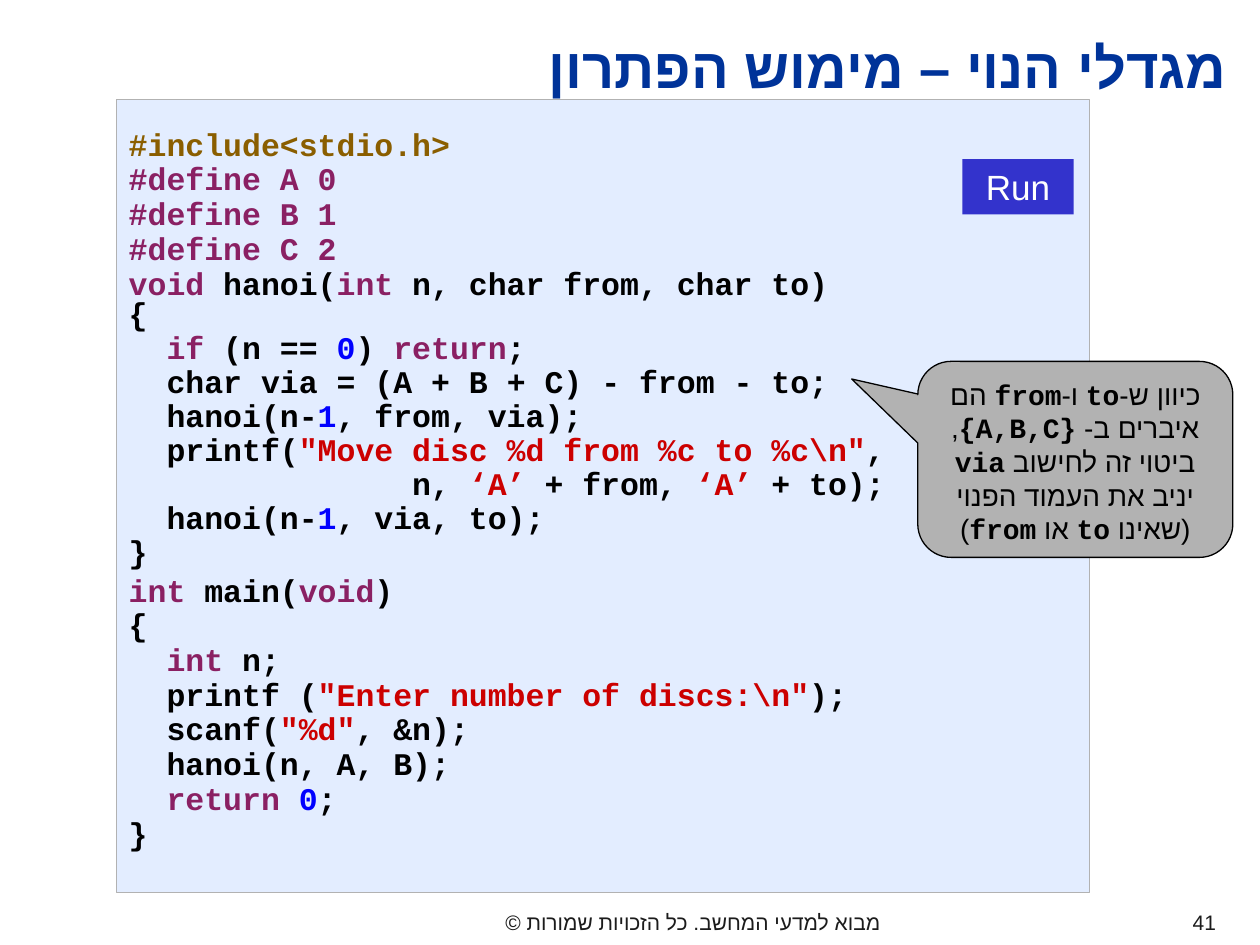
from lxml import etree
from pptx import Presentation
from pptx.dml.color import RGBColor
from pptx.enum.shapes import MSO_SHAPE
from pptx.enum.text import MSO_ANCHOR, PP_ALIGN
from pptx.oxml.ns import qn
from pptx.util import Pt

LEFT, MID, RIGHT = PP_ALIGN.LEFT, PP_ALIGN.CENTER, PP_ALIGN.RIGHT
TOP, CENTRE = MSO_ANCHOR.TOP, MSO_ANCHOR.MIDDLE
RECT, CALLOUT = MSO_SHAPE.RECTANGLE, MSO_SHAPE.ROUNDED_RECTANGULAR_CALLOUT
SANS, MONO = "Arial", "Courier New"
CHAR = 10.8  # width of one code character at 18 pt

HUES = {
    "title": "003399", "foot": "1C1C1C", "panel": "E3EDFF", "grey": "B2B2B2",
    "run": "3333CC", "white": "FFFFFF", "ink": "000000", "inc": "8A5E00",
    "key": "8A2063", "num": "0000FF", "str": "CC0000",
}


def hue(name):
    return RGBColor.from_string(HUES[name])


def write(para, text, size=18, font=SANS, color="ink", bold=False,
          align=LEFT, rtl=False):
    """Add one run of text to a paragraph."""
    para.alignment = align
    if rtl:
        para._p.get_or_add_pPr().set("rtl", "1")
    run = para.add_run()
    run.text = text
    face = run.font
    face.size, face.name, face.bold = Pt(size), font, bold
    face.color.rgb = hue(color)
    etree.SubElement(face._element, qn("a:cs"), typeface=font)


def add_box(kind, left, top, width, height, fill, line=None, anchor=TOP):
    """Add a filled shape without a shadow."""
    box = slide.shapes.add_shape(kind, Pt(left), Pt(top), Pt(width), Pt(height))
    box.shadow.inherit = False
    box.fill.solid()
    box.fill.fore_color.rgb = hue(fill)
    if line:
        box.line.color.rgb = hue(line)
        box.line.width = Pt(0.75)
    else:
        box.line.fill.background()
    box.text_frame.word_wrap = True
    box.text_frame.vertical_anchor = anchor
    return box


deck = Presentation()
deck.slide_width, deck.slide_height = Pt(720), Pt(540)
slide = deck.slides.add_slide(deck.slide_layouts[5])

# Footer and page number
for text, left, width, align in [
    ("מבוא למדעי המחשב. כל הזכויות שמורות ©", 132, 528, MID),
    ("41", 666, 36, RIGHT),
]:
    foot = slide.shapes.add_textbox(Pt(left), Pt(516), Pt(width), Pt(24))
    foot.text_frame.word_wrap = True
    write(foot.text_frame.paragraphs[0], text, size=12, color="foot",
          align=align, rtl=True)

# Title
title = slide.shapes.title
title.left, title.top, title.width, title.height = Pt(114), Pt(5), Pt(594.5), Pt(65)
title.text_frame.vertical_anchor = CENTRE
write(title.text_frame.paragraphs[0], "מגדלי הנוי – מימוש הפתרון", size=32,
      color="title", bold=True, align=RIGHT, rtl=True)

# Code: indent in characters, then coloured pieces
head = [
    (0, [("inc", "#include<stdio.h>")]),
    (0, [("key", "#define A 0")]),
    (0, [("key", "#define B 1")]),
    (0, [("key", "#define C 2")]),
    (0, [("key", "void "), ("ink", "hanoi("), ("key", "int "),
         ("ink", "n, char from, char to)")]),
]
body = [
    (0, [("ink", "{")]),
    (2, [("key", "if "), ("ink", "(n == "), ("num", "0"), ("ink", ") "),
         ("key", "return"), ("ink", ";")]),
    (2, [("ink", "char via = (A + B + C) - from - to;")]),
    (2, [("ink", "hanoi(n-"), ("num", "1"), ("ink", ", from, via);")]),
    (2, [("ink", "printf("), ("str", '"Move disc %d from %c to %c\\n"'),
         ("ink", ",")]),
    (15, [("ink", "n, "), ("str", "‘A’ "), ("ink", "+ from, "),
          ("str", "‘A’ "), ("ink", "+ to);")]),
    (2, [("ink", "hanoi(n-"), ("num", "1"), ("ink", ", via, to);")]),
    (0, [("ink", "}")]),
]
main = [
    (0, [("key", "int "), ("ink", "main("), ("key", "void"), ("ink", ")")]),
    (0, [("ink", "{")]),
    (2, [("key", "int "), ("ink", "n;")]),
    (2, [("ink", "printf ("), ("str", '"Enter number of discs:\\n"'),
         ("ink", ");")]),
    (2, [("ink", "scanf("), ("str", '"%d"'), ("ink", ", &n);")]),
    (2, [("ink", "hanoi(n, A, B);")]),
    (2, [("key", "return "), ("num", "0"), ("ink", ";")]),
    (0, [("ink", "}")]),
]
panel = add_box(RECT, 66.5, 57, 556, 453, "panel", "grey", CENTRE)
para = panel.text_frame.paragraphs[0]
for part, space, before in [(head, 0.4, 11.2), (body, 0.9, 0), (main, 0.4, 11.2)]:
    for indent, pieces in part:
        if para.runs:
            para = panel.text_frame.add_paragraph()
        para.line_spacing, para.space_before = space, Pt(before)
        para._p.get_or_add_pPr().set("marL", str(Pt(indent * CHAR)))
        for color, text in pieces:
            write(para, text, font=MONO, color=color, bold=True)

# Run button
button = add_box(RECT, 550, 91, 63.5, 31.5, "run")
label = button.text_frame.paragraphs[0]
label.space_before = Pt(12.5)
write(label, "Run", size=20, color="white", align=MID)

# Callout: plain Hebrew and bold code take turns
note = add_box(CALLOUT, 524.5, 206.5, 180, 112, "grey", "ink")
for spot, value in enumerate([-0.71, -0.41, 0.17]):
    note.adjustments[spot] = value
words = ["כיוון ש-", "to", " ו-", "from", " הם איברים ב- ", "{A,B,C}",
         ", ביטוי זה לחישוב ", "via", " יניב את העמוד הפנוי (שאינו ", "to",
         " או ", "from", ")"]
for spot, text in enumerate(words):
    code = spot % 2 == 1
    write(note.text_frame.paragraphs[0], text, size=16, bold=code,
          font=MONO if code else SANS, align=MID, rtl=True)

deck.save("out.pptx")
